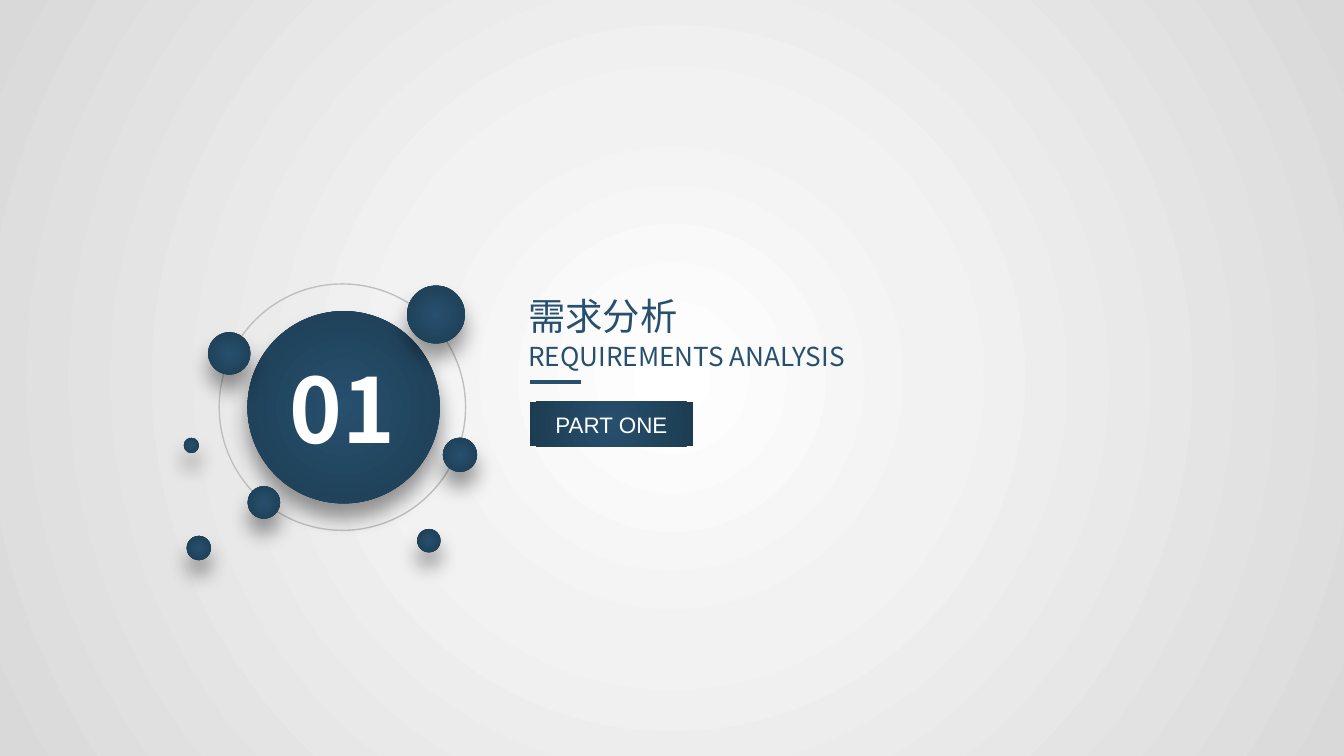
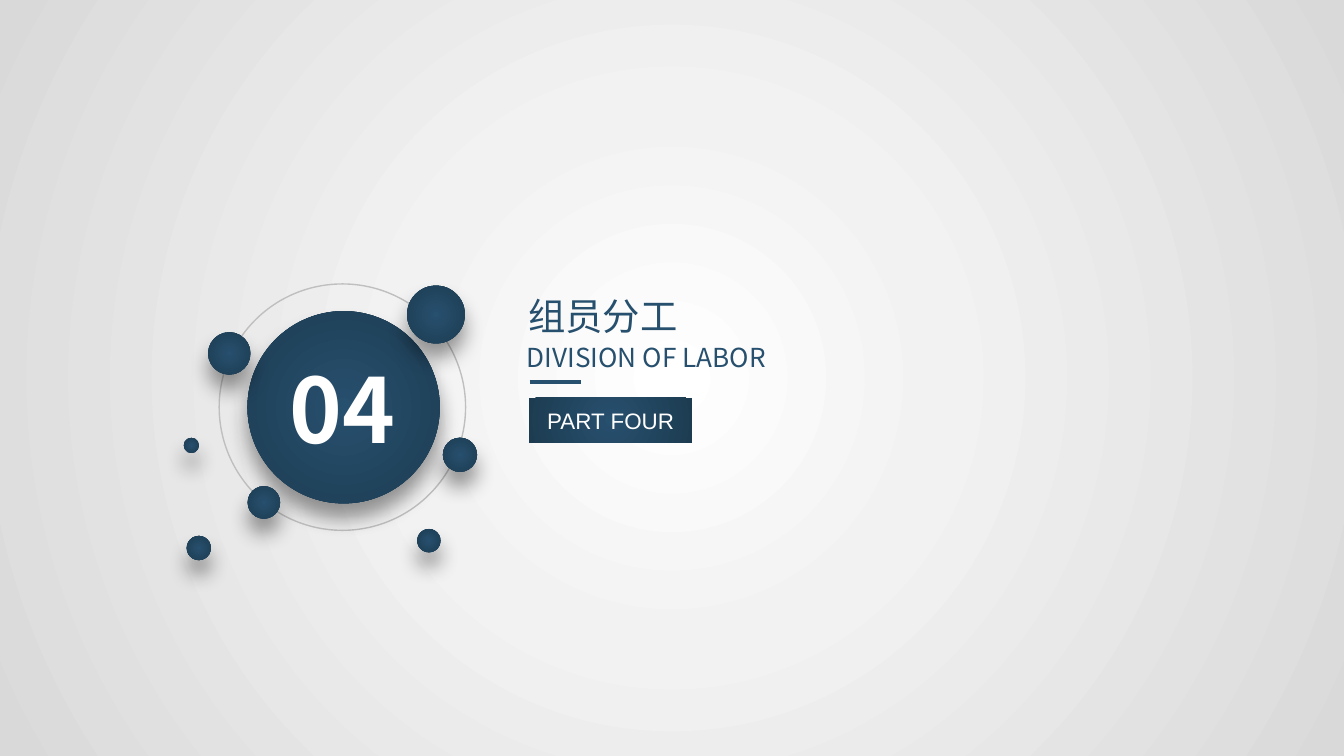
import dataclasses

import lxml.etree
import pptx
import pptx.dml.color
import pptx.enum.shapes
import pptx.enum.text
import pptx.oxml
import pptx.oxml.ns
import pptx.util

Pt = pptx.util.Pt
RGBColor = pptx.dml.color.RGBColor
Shape = pptx.enum.shapes.MSO_SHAPE
Align = pptx.enum.text.PP_ALIGN
Anchor = pptx.enum.text.MSO_ANCHOR
AutoSize = pptx.enum.text.MSO_AUTO_SIZE
qn = pptx.oxml.ns.qn


@dataclasses.dataclass(frozen=True)
class Theme:
    navy: str = "27506E"
    white: str = "FFFFFF"
    ring: str = "BFBFBF"
    navy_stops: tuple = ((0, "27506E"), (100, "1D3C52"))
    page_stops: tuple = ((0, "FFFFFF"), (35, "F2F2F2"), (100, "D9D9D9"))
    heading_font: str = "Noto Sans CJK SC"
    badge_font: str = "Arial"
    number_size: int = 48
    title_size: int = 20
    subtitle_size: int = 14
    badge_size: int = 12


theme = Theme()

SHADOW = (
    f'<a:outerShdw {pptx.oxml.ns.nsdecls("a")} blurRad="{Pt(11)}" dist="{Pt(8)}" '
    'dir="5400000" algn="t" rotWithShape="0">'
    '<a:srgbClr val="000000"><a:alpha val="40000"/></a:srgbClr></a:outerShdw>'
)


def paint_radial(owner, fill, stops):
    fill.solid()
    solid = owner.element.find(".//" + qn("a:solidFill"))
    stop_xml = "".join(
        f'<a:gs pos="{position * 1000}"><a:srgbClr val="{color}"/></a:gs>'
        for position, color in stops
    )
    gradient = pptx.oxml.parse_xml(
        f'<a:gradFill {pptx.oxml.ns.nsdecls("a")} rotWithShape="1"><a:gsLst>{stop_xml}</a:gsLst>'
        '<a:path path="circle"><a:fillToRect l="50000" t="50000" r="50000" b="50000"/></a:path>'
        "</a:gradFill>"
    )
    solid.getparent().replace(solid, gradient)


def write_text(box, text, *, size, font=theme.heading_font, color=theme.navy, bold=False,
               align=Align.LEFT, anchor=Anchor.TOP, wrap=False, fit=AutoSize.SHAPE_TO_FIT_TEXT):
    frame = box.text_frame
    frame.word_wrap = wrap
    frame.auto_size = fit
    frame.vertical_anchor = anchor
    para = frame.paragraphs[0]
    para.alignment = align
    span = para.add_run()
    span.text = text
    span.font.size = Pt(size)
    span.font.bold = bold
    span.font.color.rgb = RGBColor.from_string(color)
    span.font.name = font
    east_asian = lxml.etree.SubElement(span.font._element, qn("a:ea"))
    east_asian.set("typeface", font)


main_disc = (132.6, 166.7, 103)
satellites = [
    (218.1, 153, 31),
    (111.5, 178, 22.7),
    (100, 287.1, 13),
    (132.7, 260.5, 17.4),
    (237.3, 234.5, 18.3),
    (223.5, 283.4, 12.5),
    (98.5, 234.6, 8.1),
]

sections = [
    {"number": "01", "title": "需求分析", "subtitle": "REQUIREMENTS ANALYSIS", "part": "PART ONE",
     "subtitle_at": (275.8, 178.7, 195), "badge_at": (283.8, 215.2)},
    {"number": "04", "title": "组员分工", "subtitle": "DIVISION OF LABOR", "part": "PART FOUR",
     "subtitle_at": (275.2, 179.2, 153.5), "badge_at": (283.4, 213.2)},
]

deck = pptx.Presentation()
deck.slide_width = Pt(720)
deck.slide_height = Pt(405)

for section in sections:
    page = deck.slides.add_slide(deck.slide_layouts[6])
    paint_radial(page, page.background.fill, theme.page_stops)

    ring = page.shapes.add_shape(Shape.OVAL, Pt(117.4), Pt(152.1), Pt(132), Pt(132))
    ring.shadow.inherit = False
    ring.fill.background()
    ring.line.color.rgb = RGBColor.from_string(theme.ring)
    ring.line.width = Pt(0.75)

    for left, top, diameter in [main_disc] + satellites:
        disc = page.shapes.add_shape(Shape.OVAL, Pt(left), Pt(top), Pt(diameter), Pt(diameter))
        disc.line.fill.background()
        paint_radial(disc, disc.fill, theme.navy_stops)
        disc.shadow.inherit = False
        effects = disc.element.spPr.find(qn("a:effectLst"))
        effects.append(pptx.oxml.parse_xml(SHADOW))

    number = page.shapes.add_textbox(Pt(146.2), Pt(186), Pt(74), Pt(65.5))
    write_text(number, section["number"], size=theme.number_size, color=theme.white,
               bold=True, align=Align.CENTER)

    title = page.shapes.add_textbox(Pt(275.8), Pt(153.3), Pt(95.5), Pt(31.5))
    write_text(title, section["title"], size=theme.title_size)

    left, top, width = section["subtitle_at"]
    subtitle = page.shapes.add_textbox(Pt(left), Pt(top), Pt(width), Pt(24.2))
    write_text(subtitle, section["subtitle"], size=theme.subtitle_size)

    rule = page.shapes.add_connector(
        pptx.enum.shapes.MSO_CONNECTOR.STRAIGHT, Pt(283.8), Pt(204.5), Pt(311), Pt(204.5))
    rule.line.color.rgb = RGBColor.from_string(theme.navy)
    rule.line.width = Pt(2.25)
    lxml.etree.SubElement(rule.element.spPr, qn("a:effectLst"))

    left, top = section["badge_at"]
    badge = page.shapes.add_shape(Shape.RECTANGLE, Pt(left), Pt(top), Pt(87.5), Pt(24))
    badge.shadow.inherit = False
    badge.line.fill.background()
    paint_radial(badge, badge.fill, theme.navy_stops)
    write_text(badge, section["part"], size=theme.badge_size, font=theme.badge_font,
               color=theme.white, align=Align.CENTER, anchor=Anchor.MIDDLE,
               wrap=True, fit=AutoSize.NONE)

deck.save("out.pptx")
